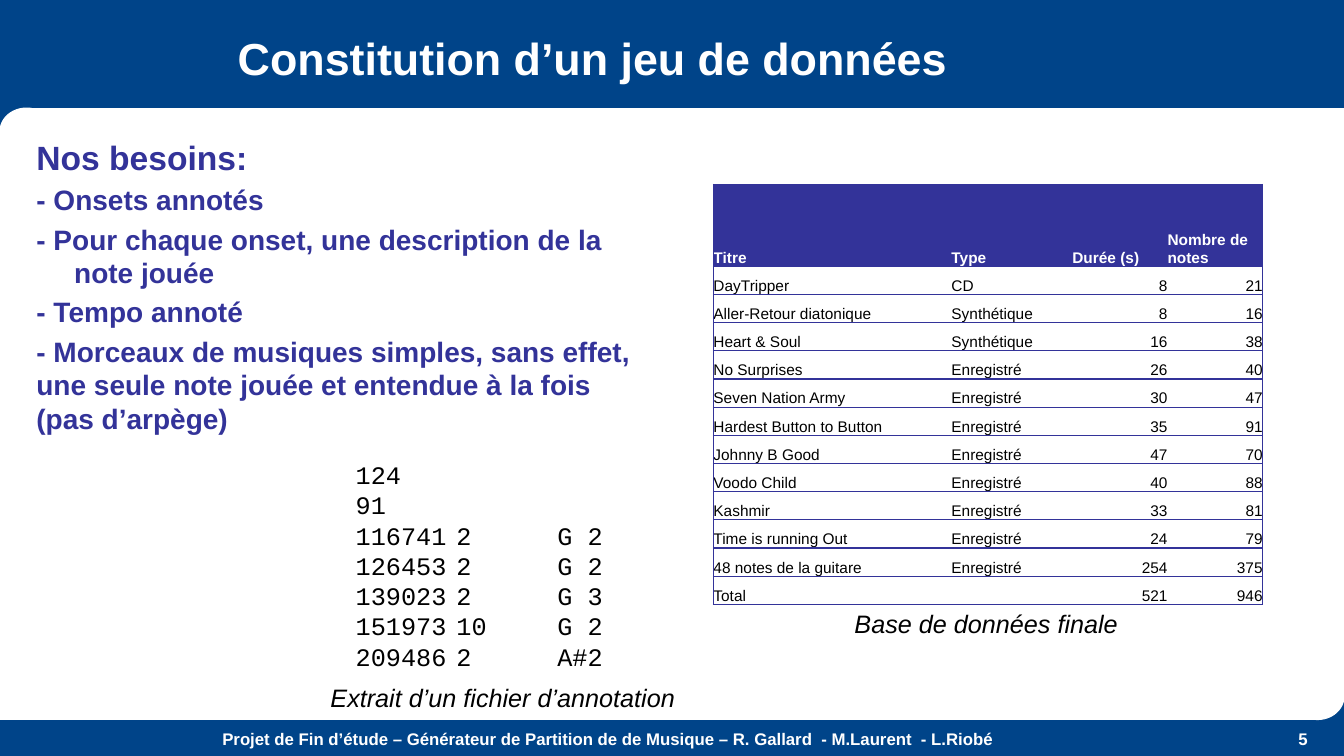
from dataclasses import dataclass

from lxml import etree
from pptx import Presentation
from pptx.dml.color import RGBColor
from pptx.enum.shapes import MSO_SHAPE
from pptx.enum.text import MSO_ANCHOR, PP_ALIGN
from pptx.oxml.ns import qn
from pptx.util import Pt

LEFT, CENTER, RIGHT = PP_ALIGN.LEFT, PP_ALIGN.CENTER, PP_ALIGN.RIGHT
TOP, MIDDLE, BOTTOM = MSO_ANCHOR.TOP, MSO_ANCHOR.MIDDLE, MSO_ANCHOR.BOTTOM
RECT, OVAL = MSO_SHAPE.RECTANGLE, MSO_SHAPE.OVAL


@dataclass(frozen=True)
class Theme:
    """Colours, fonts and type sizes of the deck."""
    blue: str = "004489"
    indigo: str = "333399"
    white: str = "FFFFFF"
    black: str = "000000"
    sans: str = "Arial"
    mono: str = "Courier New"
    title: int = 32
    heading: int = 24
    body: int = 20
    note: int = 18
    footer: int = 12
    cell: int = 11


T = Theme()

NEEDS = [
    ("Nos besoins:", T.heading, 27),
    ("- Onsets annotés", T.body, 27),
    ("- Pour chaque onset, une description de la note jouée", T.body, 27),
    ("- Tempo annoté", T.body, 0),
    ("- Morceaux de musiques simples, sans effet, une seule note jouée "
     "et entendue à la fois (pas d’arpège)", T.body, 0),
]
ANNOTATION = ["124", "91", "116741\t2\tG 2", "126453\t2\tG 2", "139023\t2\tG 3",
              "151973\t10\tG 2", "209486\t2\tA#2"]
SONGS = [
    ("Titre", "Type", "Durée (s)", "Nombre de notes"),
    ("DayTripper", "CD", "8", "21"),
    ("Aller-Retour diatonique", "Synthétique", "8", "16"),
    ("Heart & Soul", "Synthétique", "16", "38"),
    ("No Surprises", "Enregistré", "26", "40"),
    ("Seven Nation Army", "Enregistré", "30", "47"),
    ("Hardest Button to Button", "Enregistré", "35", "91"),
    ("Johnny B Good", "Enregistré", "47", "70"),
    ("Voodo Child", "Enregistré", "40", "88"),
    ("Kashmir", "Enregistré", "33", "81"),
    ("Time is running Out", "Enregistré", "24", "79"),
    ("48 notes de la guitare", "Enregistré", "254", "375"),
    ("Total", "", "521", "946"),
]


def rgb(color):
    """Turn a hex string into a colour."""
    return RGBColor.from_string(color)


def add_run(p, text, size, color, font=T.sans, bold=False, italic=False):
    """Add one formatted run to a paragraph."""
    r = p.add_run()
    r.text = text
    f = r.font
    f.name, f.size, f.bold, f.italic = font, Pt(size), bold, italic
    f.color.rgb = rgb(color)


def add_frame(slide, box, anchor=TOP):
    """Add a wrapping text box and return its text frame."""
    tf = slide.shapes.add_textbox(*map(Pt, box)).text_frame
    tf.word_wrap = True
    tf.vertical_anchor = anchor
    return tf


def next_paragraph(tf, i):
    """Return the first paragraph, or a new one after it."""
    return tf.add_paragraph() if i else tf.paragraphs[0]


def add_label(slide, box, text, size, color, align=LEFT, anchor=TOP, **style):
    """Add a one-paragraph text box."""
    p = add_frame(slide, box, anchor).paragraphs[0]
    p.alignment = align
    add_run(p, text, size, color, **style)


def add_backdrop(slide, box):
    """Fill the slide blue and build the white panel with two round corners."""
    fill = slide.background.fill
    fill.solid()
    fill.fore_color.rgb = rgb(T.blue)
    x, y, w, h = box
    dx, dy = 19, 13.5
    oval_w, oval_h = 2 * dx, 33.1
    parts = [
        (RECT, x, y + h - dy, w - dx, dy),
        (OVAL, x, y, oval_w, oval_h),
        (OVAL, x + w - oval_w, y + h - oval_h, oval_w, oval_h),
        (RECT, x + dx, y, w - dx, dy),
        (RECT, x, y + dy, dx, h - dy),
        (RECT, x + w - dx, y, dx, h - dy),
        (RECT, x + dx, y + dy, w - 2 * dx, h - 2 * dy),
    ]
    for kind, *part in parts:
        sp = slide.shapes.add_shape(kind, *map(Pt, part))
        sp.shadow.inherit = False
        sp.fill.solid()
        sp.fill.fore_color.rgb = rgb(T.white)
        sp.line.color.rgb = rgb(T.white)
        sp.line.width = Pt(0.75)


def add_needs(slide, box):
    """List the needs, with hanging indents where given."""
    tf = add_frame(slide, box)
    for i, (text, size, hang) in enumerate(NEEDS):
        p = next_paragraph(tf, i)
        p.space_before = Pt(size * 0.2)
        if hang:
            pPr = p._p.get_or_add_pPr()
            pPr.set("marL", str(Pt(hang)))
            pPr.set("indent", str(-Pt(hang)))
        add_run(p, text, size, T.indigo, bold=True)


def add_annotation(slide, box):
    """Show the annotation extract with its caption below."""
    x, y, w, h = box
    tf = add_frame(slide, box)
    for i, line in enumerate(ANNOTATION):
        p = next_paragraph(tf, i)
        tabs = etree.SubElement(p._p.get_or_add_pPr(), qn("a:tabLst"))
        for stop in (72, 144):
            etree.SubElement(tabs, qn("a:tab"), pos=str(Pt(stop)), algn="l")
        add_run(p, line, T.note, T.black, font=T.mono)
    add_label(slide, (x - 18, y + h, 277, 29), "Extrait d’un fichier d’annotation",
              T.note, T.black, italic=True)


def set_borders(cell, sides):
    """Draw the named sides of a cell and clear the others."""
    tcPr = cell._tc.get_or_add_tcPr()
    for side in "LRTB":
        ln = etree.SubElement(tcPr, qn(f"a:ln{side}"), w=str(Pt(1)))
        if side in sides:
            fill = etree.SubElement(ln, qn("a:solidFill"))
            etree.SubElement(fill, qn("a:srgbClr"), val=T.indigo)
        else:
            etree.SubElement(ln, qn("a:noFill"))


def fill_cell(cell, text, header, numeric, sides):
    """Format one table cell and write its text."""
    cell.margin_left = cell.margin_right = cell.margin_top = cell.margin_bottom = 0
    cell.vertical_anchor = BOTTOM
    set_borders(cell, sides)
    cell.fill.solid()
    cell.fill.fore_color.rgb = rgb(T.indigo if header else T.white)
    p = cell.text_frame.paragraphs[0]
    p.alignment = RIGHT if numeric and not header else LEFT
    if text:
        add_run(p, text, T.cell, T.white if header else T.black, bold=header)
    else:
        etree.SubElement(p._p, qn("a:endParaRPr"), sz=str(T.cell * 100))


def add_songs(slide, box):
    """Build the song table with its caption below."""
    x, y, w, h = box
    head_h = 58.4
    row_h = (h - head_h) / (len(SONGS) - 1)
    widths = (170, w - 170 - 2 * 68, 68, 68)
    tbl = slide.shapes.add_table(len(SONGS), len(widths), *map(Pt, box)).table
    tbl.horz_banding = False
    for col, width in zip(tbl.columns, widths):
        col.width = Pt(width)
    for i, song in enumerate(SONGS):
        tbl.rows[i].height = Pt(row_h if i else head_h)
        for j, text in enumerate(song):
            sides = "TB" + {0: "L", len(widths) - 1: "R"}.get(j, "")
            fill_cell(tbl.cell(i, j), text, i == 0, j >= 2, sides)
    add_label(slide, (x + 93.7, y + h - 0.5, 277, 29), "Base de données finale",
              T.note, T.black, italic=True)


def add_footer(slide, box):
    """Place the project line and the slide number."""
    x, y, w, h = box
    num_w = 91
    add_label(slide, (x, y, w - num_w, h),
              "Projet de Fin d’étude – Générateur de Partition de de Musique – "
              "R. Gallard  - M.Laurent  - L.Riobé",
              T.footer, T.white, CENTER, bold=True)
    add_label(slide, (x + w - num_w, y, num_w, h), "5",
              T.footer, T.white, RIGHT, bold=True)


def main():
    """Build the slide and save it."""
    prs = Presentation()
    prs.slide_width, prs.slide_height = Pt(960), Pt(540)
    slide = prs.slides.add_slide(prs.slide_layouts[6])
    add_backdrop(slide, (0, 77.2, 960, 436.8))
    add_label(slide, (162.7, 21.6, 749.5, 39), "Constitution d’un jeu de données",
              T.title, T.white, anchor=MIDDLE, bold=True)
    add_needs(slide, (18.9, 94.3, 446.4, 414))
    add_songs(slide, (509.6, 131.8, 392.4, 300))
    add_annotation(slide, (247, 324.7, 203.8, 159.3))
    add_footer(slide, (18.9, 517, 922.2, 28))
    prs.save("out.pptx")


if __name__ == "__main__":
    main()
